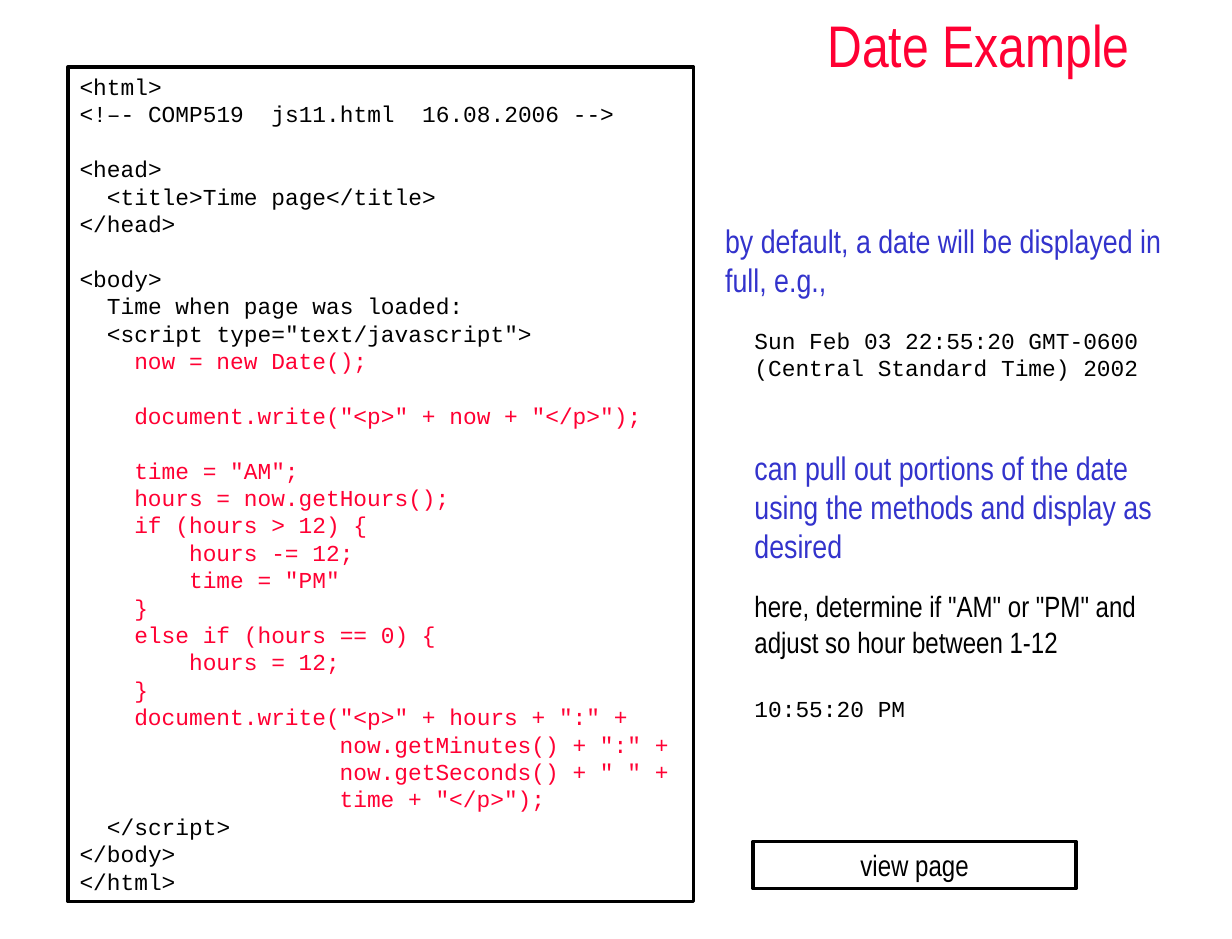
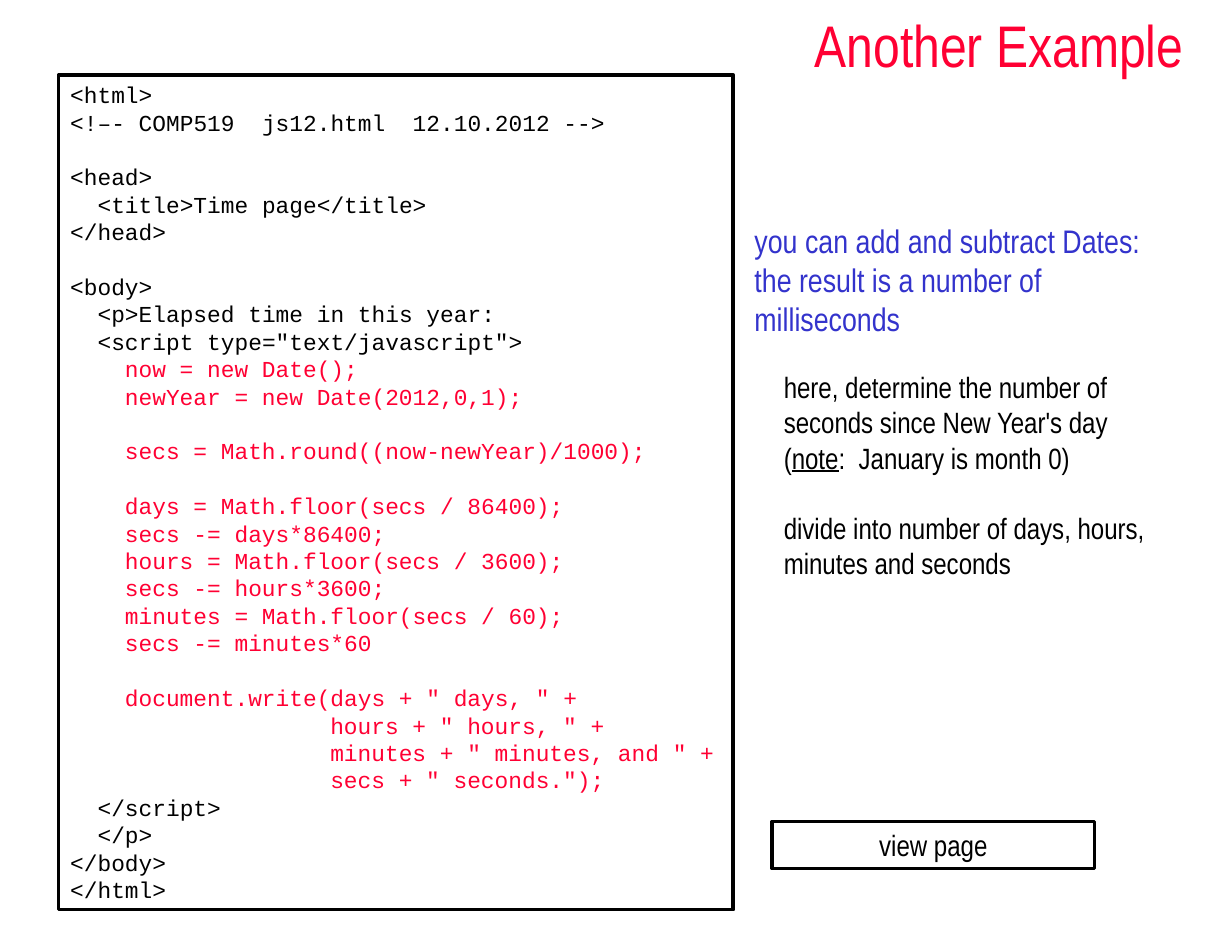
import pptx
import pptx.dml.color
import pptx.enum.shapes
import pptx.enum.text
import pptx.oxml
import pptx.util
from pptx.util import Inches

COLORS = {"accent": "FF0033", "point": "3333CC", "ink": "000000"}
SANS = "Arial Narrow"
MONO = "Courier New"
LINE_HEIGHT = 1.2   # line pitch, in font sizes
CODE_SIZE = 14
CHAR_WIDTH = 0.6    # width of a code letter, in font sizes
ALIGN = pptx.enum.text.PP_ALIGN

# Text styles: font, size, colour
POINT = (SANS, 20, "point")
DETAIL = (SANS, 18, "ink")
OUTPUT = (MONO, CODE_SIZE, "ink")

DATE_CODE = """\
<html>
<!–- COMP519  js11.html  16.08.2006 -->

<head>
  <title>Time page</title>
</head>

<body>
  Time when page was loaded:
  <script type="text/javascript">
    now = new Date();

    document.write("<p>" + now + "</p>");

    time = "AM";
    hours = now.getHours();
    if (hours > 12) {
        hours -= 12;
        time = "PM"
    }
    else if (hours == 0) {
        hours = 12;
    }
    document.write("<p>" + hours + ":" +
                   now.getMinutes() + ":" +
                   now.getSeconds() + " " +
                   time + "</p>");
  </script>
</body>
</html>"""

ELAPSED_CODE = """\
<html>
<!–- COMP519  js12.html  12.10.2012 -->

<head>
  <title>Time page</title>
</head>

<body>
  <p>Elapsed time in this year:
  <script type="text/javascript">
    now = new Date();
    newYear = new Date(2012,0,1);

    secs = Math.round((now-newYear)/1000);

    days = Math.floor(secs / 86400);
    secs -= days*86400;
    hours = Math.floor(secs / 3600);
    secs -= hours*3600;
    minutes = Math.floor(secs / 60);
    secs -= minutes*60

    document.write(days + " days, " +
                   hours + " hours, " +
                   minutes + " minutes, and " +
                   secs + " seconds.");
  </script>
  </p>
</body>
</html>"""

# Remarks: style, indent in inches, space before in points, runs
DATE_REMARKS = [
    (POINT, 0, 0, ["by default, a date will be displayed in full, e.g.,"]),
    (OUTPUT, 0.25, 16.8,
     ["Sun Feb 03 22:55:20 GMT-0600 (Central Standard Time) 2002"]),
    (POINT, 0.25, 40.8,
     ["can pull out portions of the date using the methods and display as desired"]),
    (DETAIL, 0.25, 14.4,
     ['here, determine if "AM" or "PM" and adjust so hour between 1-12']),
    (OUTPUT, 0.25, 21.6, ["10:55:20 PM"]),
]
ELAPSED_REMARKS = [
    (POINT, 0, 0, ["you can add and subtract Dates:"]),
    (POINT, 0, 0, ["the result is a number of milliseconds"]),
    (DETAIL, 0.25, 19.2,
     ["here, determine the number of seconds since New Year's day"]),
    (DETAIL, 0.25, 0, ["(", ("note", True), ":  January is month 0)"]),
    (DETAIL, 0.25, 21.6,
     ["divide into number of days, hours, minutes and seconds"]),
]


class Deck:
    """Holds the shared style and the current slide."""

    def __init__(self):
        self.prs = pptx.Presentation()
        self.prs.slide_width = Inches(10.5)
        self.prs.slide_height = Inches(8)
        self.slide = None

    def new_slide(self):
        self.slide = self.prs.slides.add_slide(self.prs.slide_layouts[1])

    def place(self, shape, box):
        shape.left, shape.top, shape.width, shape.height = map(Inches, box)

    def add_run(self, paragraph, text, style, underline=None):
        face, size, color = style
        run = paragraph.add_run()
        run.text = text
        run.font.name = face
        run.font.size = pptx.util.Pt(size)
        run.font.underline = underline
        run.font.color.rgb = pptx.dml.color.RGBColor.from_string(COLORS[color])

    def prepare(self, frame):
        frame.word_wrap = True
        frame.auto_size = pptx.enum.text.MSO_AUTO_SIZE.NONE
        frame.vertical_anchor = pptx.enum.text.MSO_ANCHOR.TOP

    def add_line(self, frame, style, runs, indent=0, before=0, align=ALIGN.LEFT):
        first = frame.paragraphs[0]
        paragraph = frame.add_paragraph() if first.runs else first
        paragraph.alignment = align
        paragraph.line_spacing = pptx.util.Pt(LINE_HEIGHT * style[1])
        paragraph.space_before = pptx.util.Pt(before)
        properties = paragraph._p.get_or_add_pPr()
        properties.set("marL", str(int(indent)))
        properties.set("indent", "0")
        for run in runs:
            text, underline = (run, None) if isinstance(run, str) else run
            self.add_run(paragraph, text, style, underline)
        return properties

    def title(self, text, box):
        heading = self.slide.shapes.title
        self.place(heading, box)
        paragraph = heading.text_frame.paragraphs[0]
        paragraph.alignment = ALIGN.CENTER
        self.add_run(paragraph, text, (SANS, 36, "accent"))

    def remarks(self, entries, box):
        body = self.slide.placeholders[1]
        self.place(body, box)
        self.prepare(body.text_frame)
        for style, indent, before, runs in entries:
            properties = self.add_line(body.text_frame, style, runs,
                                       Inches(indent), before)
            properties.append(pptx.oxml.parse_xml(
                '<a:buNone xmlns:a="http://schemas.openxmlformats.org/drawingml/2006/main"/>'))

    def frame_box(self, box):
        panel = self.slide.shapes.add_shape(
            pptx.enum.shapes.MSO_SHAPE.RECTANGLE, *map(Inches, box))
        panel.shadow.inherit = False
        panel.fill.background()
        panel.line.color.rgb = pptx.dml.color.RGBColor.from_string(COLORS["ink"])
        panel.line.width = pptx.util.Pt(2.25)
        self.prepare(panel.text_frame)
        return panel.text_frame

    def code(self, listing, box):
        frame = self.frame_box(box)
        in_script, before = False, 0
        for line in listing.splitlines():
            text = line.lstrip()
            if not text:
                before += LINE_HEIGHT * CODE_SIZE
                continue
            if text == "</script>":
                in_script = False
            indent = (len(line) - len(text)) * CHAR_WIDTH * CODE_SIZE
            style = (MONO, CODE_SIZE, "accent" if in_script else "ink")
            self.add_line(frame, style, [text], pptx.util.Pt(indent), before)
            before = 0
            if text.startswith("<script"):
                in_script = True

    def button(self, text, left, top):
        frame = self.frame_box((left, top, 2.75, 0.4))
        self.add_line(frame, DETAIL, [text], before=11.2, align=ALIGN.CENTER)


def main():
    deck = Deck()

    # Showing a date and the time
    deck.new_slide()
    deck.title("Date Example", (6.18, 0, 4.32, 0.75))
    deck.code(DATE_CODE, (0.58, 0.57, 5.33, 7.11))
    deck.remarks(DATE_REMARKS, (6.08, 1.83, 4.17, 4.27))
    deck.button("view page", 6.42, 7.17)

    # Elapsed time from two dates
    deck.new_slide()
    deck.title("Another Example", (6.53, 0, 3.97, 0.75))
    deck.code(ELAPSED_CODE, (0.5, 0.64, 5.75, 7.11))
    deck.remarks(ELAPSED_REMARKS, (6.33, 1.83, 3.92, 4.27))
    deck.button("view page", 6.58, 7)

    deck.prs.save("out.pptx")


if __name__ == "__main__":
    main()
